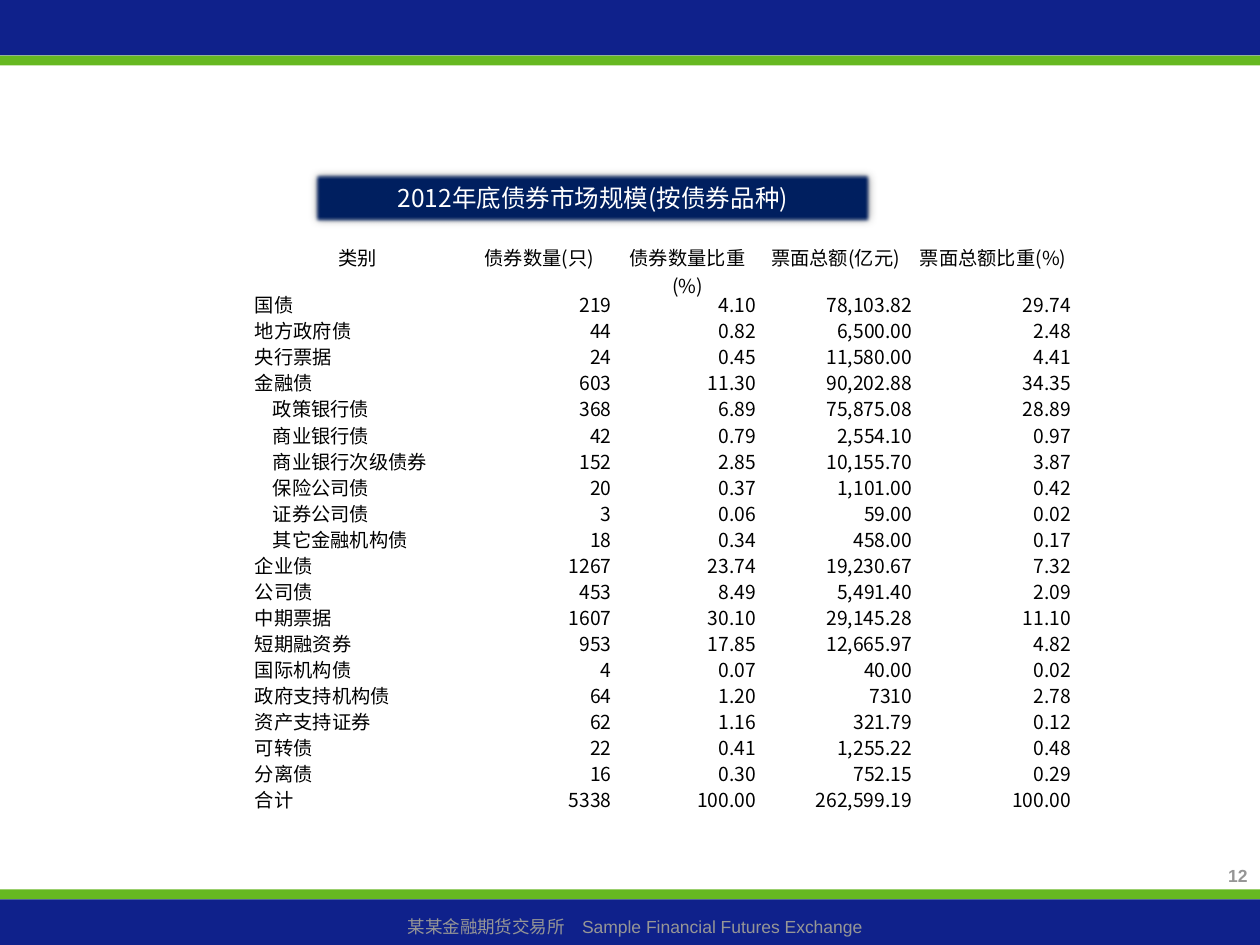
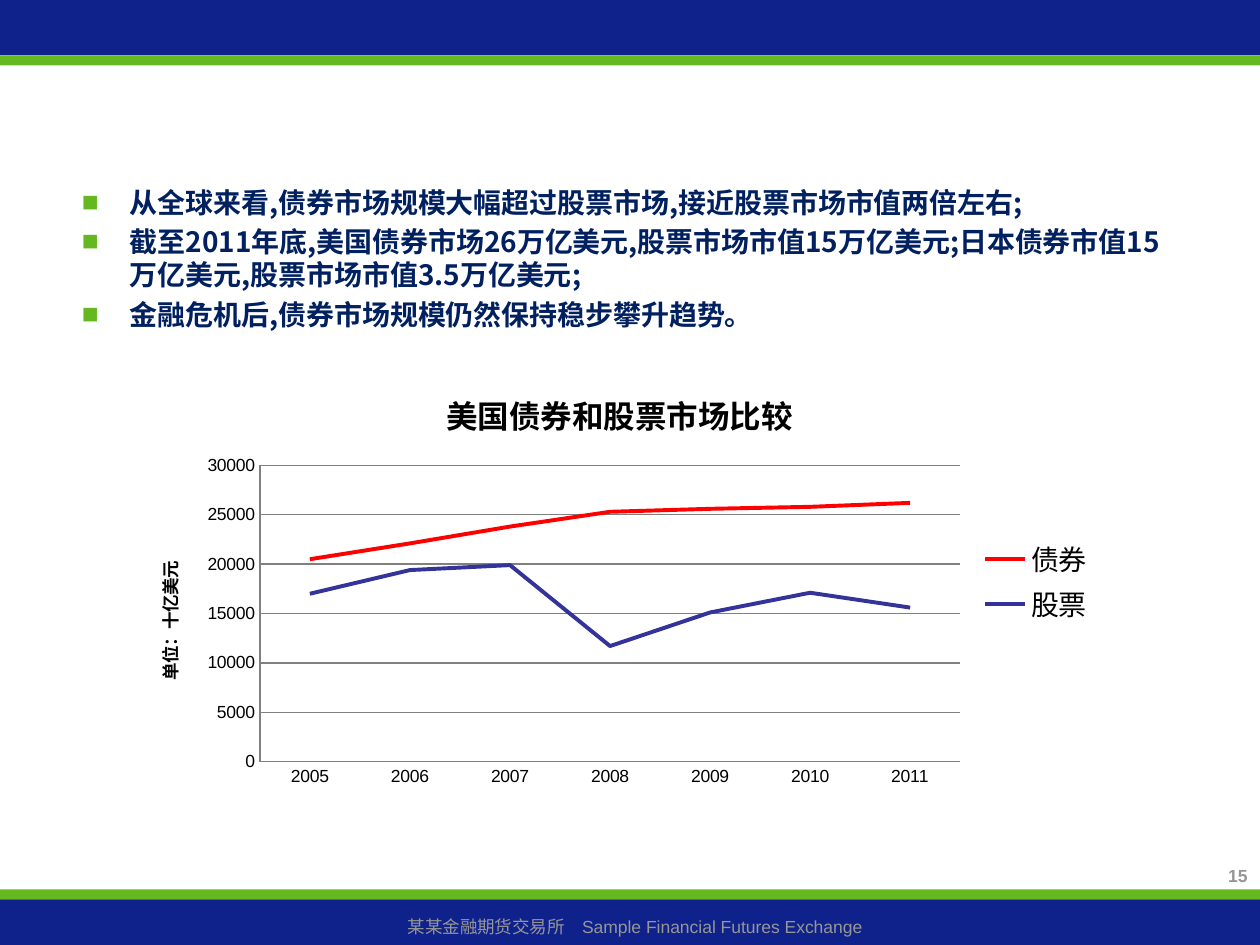
from lxml import etree
from pptx import Presentation
from pptx.chart.data import CategoryChartData
from pptx.dml.color import RGBColor
from pptx.enum.chart import XL_CHART_TYPE, XL_LEGEND_POSITION, XL_TICK_MARK
from pptx.enum.shapes import MSO_SHAPE
from pptx.enum.text import MSO_ANCHOR, PP_ALIGN
from pptx.oxml import parse_xml
from pptx.oxml.ns import nsdecls, qn
from pptx.util import Cm, Pt

COLORS = {
    "blue": "0F218B", "green": "66B821", "navy": "002060", "gray": "969696",
    "white": "FFFFFF", "black": "000000", "grid": "808080",
    "bonds": "FF0000", "stocks": "333399",
}
LATIN = "Arial"
CJK = "Noto Sans CJK SC"
FOOTER = "某某金融期货交易所　Sample Financial Futures Exchange"

HEADERS = ["类别", "债券数量(只)", "债券数量比重(%)", "票面总额(亿元)", "票面总额比重(%)"]
BOND_ROWS = [
    ("国债", "219", "4.10", "78,103.82", "29.74"),
    ("地方政府债", "44", "0.82", "6,500.00", "2.48"),
    ("央行票据", "24", "0.45", "11,580.00", "4.41"),
    ("金融债", "603", "11.30", "90,202.88", "34.35"),
    ("政策银行债", "368", "6.89", "75,875.08", "28.89"),
    ("商业银行债", "42", "0.79", "2,554.10", "0.97"),
    ("商业银行次级债券", "152", "2.85", "10,155.70", "3.87"),
    ("保险公司债", "20", "0.37", "1,101.00", "0.42"),
    ("证券公司债", "3", "0.06", "59.00", "0.02"),
    ("其它金融机构债", "18", "0.34", "458.00", "0.17"),
    ("企业债", "1267", "23.74", "19,230.67", "7.32"),
    ("公司债", "453", "8.49", "5,491.40", "2.09"),
    ("中期票据", "1607", "30.10", "29,145.28", "11.10"),
    ("短期融资券", "953", "17.85", "12,665.97", "4.82"),
    ("国际机构债", "4", "0.07", "40.00", "0.02"),
    ("政府支持机构债", "64", "1.20", "7310", "2.78"),
    ("资产支持证券", "62", "1.16", "321.79", "0.12"),
    ("可转债", "22", "0.41", "1,255.22", "0.48"),
    ("分离债", "16", "0.30", "752.15", "0.29"),
    ("合计", "5338", "100.00", "262,599.19", "100.00"),
]
FINANCIAL_SUBTYPES = {"政策银行债", "商业银行债", "商业银行次级债券", "保险公司债", "证券公司债", "其它金融机构债"}
POINTS = [
    "从全球来看,债券市场规模大幅超过股票市场,接近股票市场市值两倍左右;",
    "截至2011年底,美国债券市场26万亿美元,股票市场市值15万亿美元;日本债券市值15万亿美元,股票市场市值3.5万亿美元;",
    "金融危机后,债券市场规模仍然保持稳步攀升趋势。",
]
YEARS = [str(year) for year in range(2005, 2012)]
MARKETS = [
    ("债券", "bonds", (20500, 22100, 23800, 25300, 25600, 25800, 26200)),
    ("股票", "stocks", (17000, 19400, 19900, 11700, 15100, 17100, 15600)),
]


def rgb(name):
    return RGBColor.from_string(COLORS[name])


def style_font(font, size, color, name, bold=False):
    font.size, font.bold, font.name = Pt(size), bold, name
    font.color.rgb = rgb(color)


def add_run(p, text, size, color, name=CJK, bold=False):
    r = p.add_run()
    r.text = text
    style_font(r.font, size, color, name, bold)
    etree.SubElement(r.font._element, qn("a:ea")).set("typeface", CJK)


def add_rect(s, x, y, w, h, color):
    sp = s.shapes.add_shape(MSO_SHAPE.RECTANGLE, Cm(x), Cm(y), Cm(w), Cm(h))
    sp.shadow.inherit = False
    sp.fill.solid()
    sp.fill.fore_color.rgb = rgb(color)
    sp.line.fill.background()
    return sp


def add_text_box(s, x, y, w, h):
    tf = s.shapes.add_textbox(Cm(x), Cm(y), Cm(w), Cm(h)).text_frame
    tf.word_wrap = True
    return tf


def add_label(s, x, y, w, h, text, align, bold=False):
    p = add_text_box(s, x, y, w, h).paragraphs[0]
    p.alignment = align
    add_run(p, text, 10, "gray", LATIN, bold)


def add_framed_slide(prs, number):
    s = prs.slides.add_slide(prs.slide_layouts[6])
    for y, h, color in ((0, 1.12, "blue"), (17.93, 0.2, "green"),
                        (1.12, 0.2, "green"), (18.13, 0.92, "blue")):
        add_rect(s, 0, y, 25.4, h, color)
    add_label(s, 0.2, 18.34, 25.2, 0.69, FOOTER, PP_ALIGN.CENTER)
    add_label(s, 20.4, 17.32, 5, 0.91, str(number), PP_ALIGN.RIGHT, True)
    return s


def add_banner(s, text):
    sp = add_rect(s, 6.3, 3.45, 11.3, 1.07, "navy")
    effects = sp._element.spPr.find(qn("a:effectLst"))
    effects.append(parse_xml(
        f'<a:outerShdw {nsdecls("a")} blurRad="63500" algn="ctr" rotWithShape="0">'
        f'<a:srgbClr val="{COLORS["black"]}"><a:alpha val="40000"/></a:srgbClr></a:outerShdw>'))
    effects.append(parse_xml(f'<a:softEdge {nsdecls("a")} rad="31750"/>'))
    tf = sp.text_frame
    tf.vertical_anchor = MSO_ANCHOR.MIDDLE
    p = tf.paragraphs[0]
    p.alignment = PP_ALIGN.CENTER
    add_run(p, text, 14, "white")


def clear_borders(cell):
    tcPr = cell._tc.get_or_add_tcPr()
    for i, side in enumerate("LRTB"):
        tcPr.insert(i, parse_xml(f'<a:ln{side} {nsdecls("a")} w="0"><a:noFill/></a:ln{side}>'))


def fill_cell(cell, text, align, left=0.03, right=0.03):
    cell.fill.background()
    clear_borders(cell)
    cell.margin_left, cell.margin_right = Cm(left), Cm(right)
    cell.margin_top, cell.margin_bottom = Cm(0.02), 0
    p = cell.text_frame.paragraphs[0]
    p.alignment = align
    add_run(p, text, 11, "black")


def add_bond_table(s):
    widths = (4.19, 3.15, 2.82, 3.15, 3.2)
    header_height, body_height = 0.89, 10.51
    tbl = s.shapes.add_table(len(BOND_ROWS) + 1, len(widths), Cm(5.11), Cm(4.88),
                             Cm(sum(widths)), Cm(header_height + body_height)).table
    tbl.first_row = tbl.horz_banding = False
    tbl._tbl.tblPr.find(qn("a:tableStyleId")).text = "{2D5ABB26-0587-4C30-8999-92F81FD0307C}"
    for col, width in zip(tbl.columns, widths):
        col.width = Cm(width)
    for i, row in enumerate(tbl.rows):
        row.height = Cm(body_height / len(BOND_ROWS) if i else header_height)
    for c, header in enumerate(HEADERS):
        fill_cell(tbl.cell(0, c), header, PP_ALIGN.CENTER)
    for i, (kind, *figures) in enumerate(BOND_ROWS, 1):
        indent = 0.39 if kind in FINANCIAL_SUBTYPES else 0.03
        fill_cell(tbl.cell(i, 0), kind, PP_ALIGN.LEFT, left=indent)
        for c, figure in enumerate(figures, 1):
            fill_cell(tbl.cell(i, c), figure, PP_ALIGN.RIGHT, right=0.12 if c == 1 else 0.03)


def add_bullets(s, points):
    tf = add_text_box(s, 1.4, 3.61, 22.68, 3.4)
    for i, point in enumerate(points):
        p = tf.add_paragraph() if i else tf.paragraphs[0]
        p.line_spacing = 1.0
        p.space_before = Pt(3.2 if i else 0)
        pPr = p._p.get_or_add_pPr()
        pPr.set("marL", str(Cm(0.97)))
        pPr.set("indent", str(-Cm(0.97)))
        for xml in (f'<a:buClr {nsdecls("a")}><a:srgbClr val="{COLORS["green"]}"/></a:buClr>',
                    f'<a:buSzPct {nsdecls("a")} val="100000"/>',
                    f'<a:buFont {nsdecls("a")} typeface="{LATIN}"/>',
                    f'<a:buChar {nsdecls("a")} char="■"/>'):
            pPr.append(parse_xml(xml))
        add_run(p, point, 16, "navy", bold=True)


def set_plot_area(chart, x, y, w, h):
    plot_area = chart._chartSpace.chart.plotArea
    for old in plot_area.findall(qn("c:layout")):
        plot_area.remove(old)
    sizes = "".join(f'<c:{tag} val="{val}"/>' for tag, val in zip("xywh", (x, y, w, h)))
    plot_area.insert(0, parse_xml(
        f'<c:layout {nsdecls("c")}><c:manualLayout><c:layoutTarget val="inner"/>'
        f'<c:xMode val="edge"/><c:yMode val="edge"/>{sizes}</c:manualLayout></c:layout>'))


def style_line(line, color, width):
    line.color.rgb = rgb(color)
    line.width = Pt(width)


def add_market_chart(s):
    data = CategoryChartData()
    data.categories = YEARS
    for name, _, values in MARKETS:
        data.add_series(name, values)
    chart = s.shapes.add_chart(XL_CHART_TYPE.LINE, Cm(2.69), Cm(7.39),
                               Cm(19.61), Cm(8.66), data).chart
    style_font(chart.font, 10, "black", LATIN)
    chart.has_title = True
    add_run(chart.chart_title.text_frame.paragraphs[0], "美国债券和股票市场比较", 18, "black", bold=True)
    chart.chart_title.include_in_layout = False
    chart.has_legend = True
    chart.legend.position = XL_LEGEND_POSITION.RIGHT
    chart.legend.include_in_layout = False
    style_font(chart.legend.font, 16, "black", CJK)

    val = chart.value_axis
    val.minimum_scale, val.maximum_scale, val.major_unit = 0, 30000, 5000
    val.has_major_gridlines = True
    style_line(val.major_gridlines.format.line, "grid", 0.75)
    for axis in (val, chart.category_axis):
        axis.major_tick_mark = axis.minor_tick_mark = XL_TICK_MARK.NONE
        style_line(axis.format.line, "grid", 0.75)
    val.has_title = True
    add_run(val.axis_title.text_frame.paragraphs[0], "单位：十亿美元", 10, "black", bold=True)
    body = val.axis_title._element.find(".//" + qn("a:bodyPr"))
    body.set("rot", "-5400000")
    body.set("vert", "horz")

    chart.plots[0].vary_by_categories = False
    for series, (_, color, _) in zip(chart.plots[0].series, MARKETS):
        series.smooth = False
        style_line(series.format.line, color, 2.25)
    set_plot_area(chart, 0.13, 0.23, 0.72, 0.69)


def main():
    prs = Presentation()
    prs.slide_width, prs.slide_height = Cm(25.4), Cm(19.05)
    s = add_framed_slide(prs, 12)
    add_bond_table(s)
    add_banner(s, "2012年底债券市场规模(按债券品种)")
    s = add_framed_slide(prs, 15)
    add_bullets(s, POINTS)
    add_market_chart(s)
    prs.save("out.pptx")


if __name__ == "__main__":
    main()
